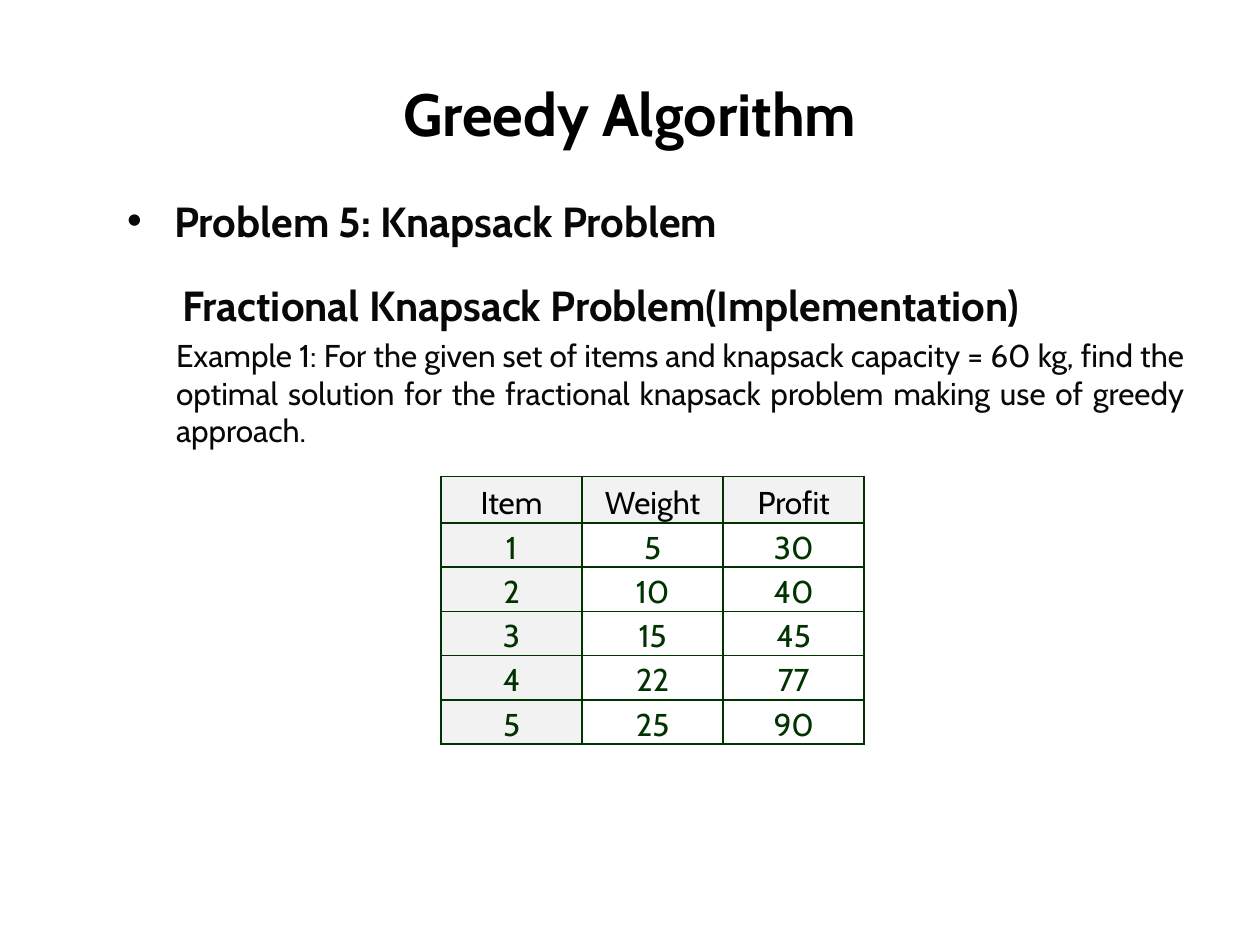
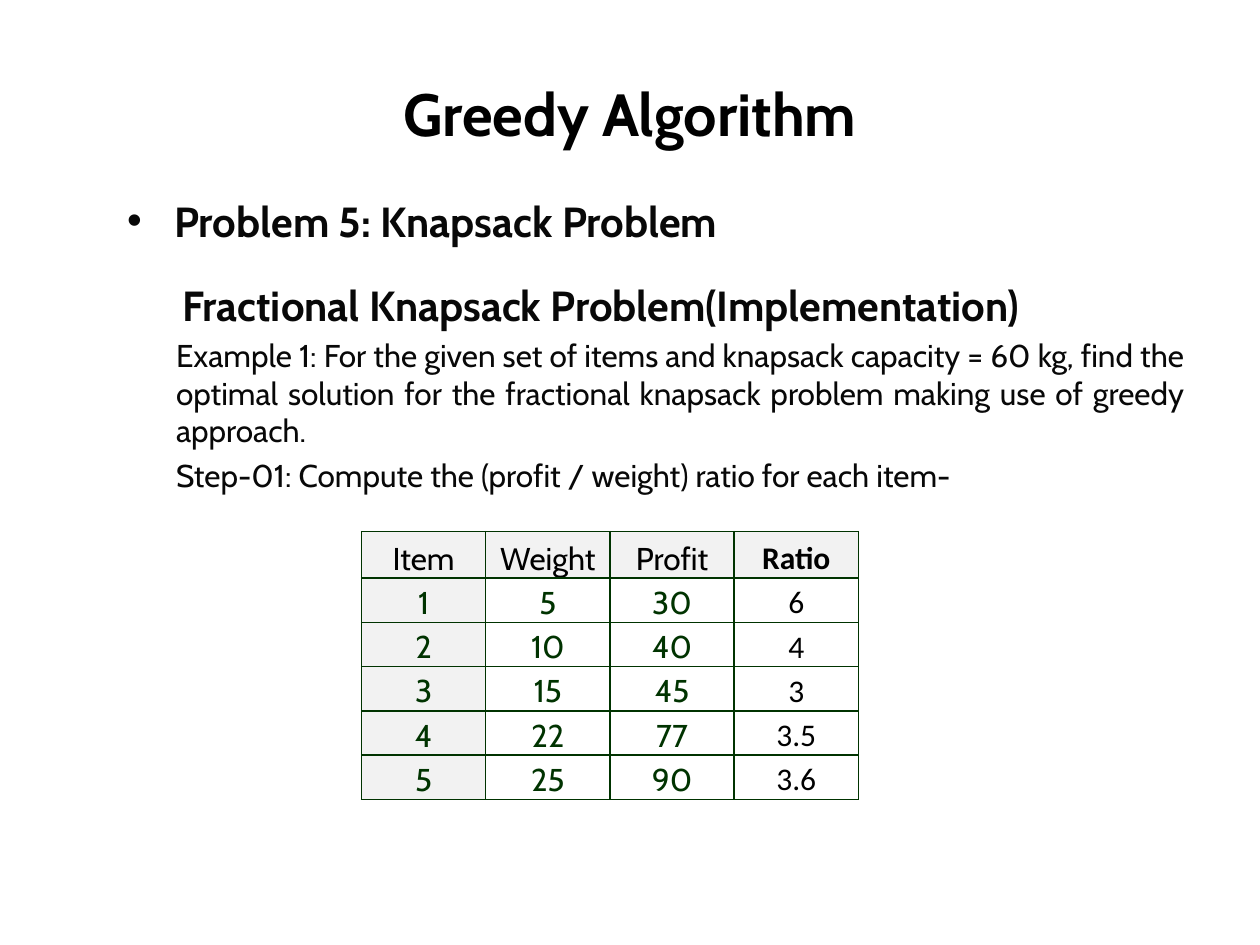
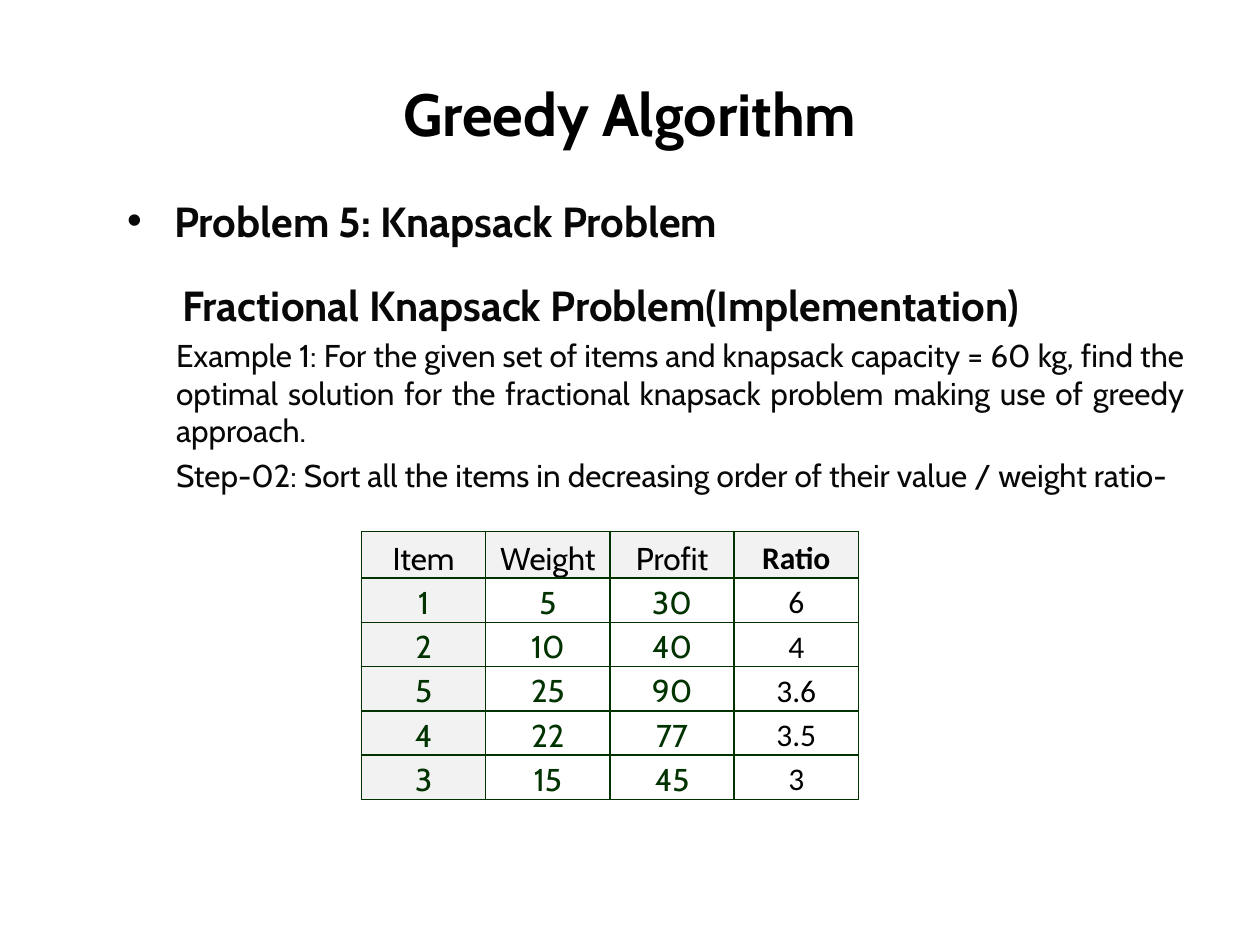
from lxml import etree
from pptx import Presentation
from pptx.dml.color import RGBColor
from pptx.enum import text
from pptx.oxml import ns
from pptx.util import Pt

# Content
TITLE = "Greedy Algorithm"
PROBLEM = "Problem 5: Knapsack Problem"
HEADING = "Fractional Knapsack Problem(Implementation)"
EXAMPLE = (
    "Example 1: For the given set of items and knapsack capacity = 60 kg, "
    "find the optimal solution for the fractional knapsack problem making "
    "use of greedy approach."
)
STEP_1 = "Step-01: Compute the (profit / weight) ratio for each item-"
STEP_2 = "Step-02: Sort all the items in decreasing order of their value / weight ratio-"

ITEMS = [(1, 5, 30), (2, 10, 40), (3, 15, 45), (4, 22, 77), (5, 25, 90)]
WITH_RATIO = [(*item, item[2] / item[1]) for item in ITEMS]
BY_RATIO = sorted(WITH_RATIO, key=lambda row: row[3], reverse=True)
HEADERS = ["Item", "Weight", "Profit", "Ratio"]

# Table places: left, top, column width
PLAIN_TABLE = (252, 272.2, 80.64)
RATIO_TABLE = (206.6, 303.8, 71)

SLIDES = [
    ([], ITEMS, PLAIN_TABLE),
    ([STEP_1], WITH_RATIO, RATIO_TABLE),
    ([STEP_2], BY_RATIO, RATIO_TABLE),
]

# Shared style
COLORS = {"title": "000000", "body": "080808", "header": "000000",
          "value": "003300", "ratio": "000000", "border": "003300", "shade": "F2F2F2"}
FONT, RATIO_FONT = "Cabin", "Calibri"
HEADER_HEIGHT, ROW_HEIGHT = 26.6, 25.3
RATIO_COLUMN = 3


def style_font(paragraph, size, color, bold=False, name=FONT):
    font = paragraph.font
    font.name, font.size, font.bold = name, Pt(size), bold
    font.color.rgb = RGBColor.from_string(COLORS[color])


def add_text_frame(slide, left, top, width, height):
    frame = slide.shapes.add_textbox(Pt(left), Pt(top), Pt(width), Pt(height)).text_frame
    frame.word_wrap = True
    return frame


def add_title(slide):
    frame = add_text_frame(slide, 36, 36, 648, 57)
    frame.vertical_anchor = text.MSO_ANCHOR.MIDDLE
    paragraph = frame.paragraphs[0]
    paragraph.text = TITLE
    paragraph.alignment = text.PP_ALIGN.CENTER
    style_font(paragraph, 34, "title", bold=True)


def add_bullet(properties):
    etree.SubElement(properties, ns.qn("a:buFont"), typeface="Arial")
    etree.SubElement(properties, ns.qn("a:buChar"), char="•")


def add_body(slide, steps):
    frame = add_text_frame(slide, 65.5, 108, 618.5, 377)
    # Wording, size, bold, left indent
    lines = [(PROBLEM, 24, True, 27), (HEADING, 24, True, 31.5)]
    lines += [(line, 18, False, 28) for line in [EXAMPLE, *steps]]
    for index, (wording, size, bold, indent) in enumerate(lines):
        paragraph = frame.add_paragraph() if index else frame.paragraphs[0]
        paragraph.text = wording
        paragraph.alignment = text.PP_ALIGN.JUSTIFY
        paragraph.space_before = Pt(size * 0.2)
        if wording == HEADING:
            paragraph.level = 1
            paragraph.line_spacing = 1.5
        properties = paragraph._p.get_or_add_pPr()
        properties.set("marL", str(Pt(indent)))
        properties.set("indent", str(Pt(-indent if wording == PROBLEM else 0)))
        if wording == PROBLEM:
            add_bullet(properties)
        style_font(paragraph, size, "body", bold)


def add_borders(cell):
    properties = cell._tc.get_or_add_tcPr()
    for side in ("lnL", "lnR", "lnT", "lnB"):
        line = etree.SubElement(properties, ns.qn(f"a:{side}"), w=str(Pt(1)))
        fill = etree.SubElement(line, ns.qn("a:solidFill"))
        etree.SubElement(fill, ns.qn("a:srgbClr"), val=COLORS["border"])


def fill_cell(cell, wording, is_header, column):
    cell.margin_left = cell.margin_right = cell.margin_top = Pt(0.72)
    cell.margin_bottom = Pt(0)
    cell.vertical_anchor = text.MSO_ANCHOR.BOTTOM
    add_borders(cell)
    if is_header or column == 0:
        cell.fill.solid()
        cell.fill.fore_color.rgb = RGBColor.from_string(COLORS["shade"])
    else:
        cell.fill.background()
    is_ratio = column == RATIO_COLUMN
    paragraph = cell.text_frame.paragraphs[0]
    paragraph.text = wording
    paragraph.alignment = text.PP_ALIGN.CENTER
    color = "header" if is_header else "ratio" if is_ratio else "value"
    style_font(paragraph, 18, color, is_header and is_ratio,
               RATIO_FONT if is_ratio else FONT)


def add_item_table(slide, items, place):
    left, top, column_width = place
    column_count = len(items[0])
    rows = [HEADERS[:column_count]]
    rows += [[f"{value:g}" for value in item] for item in items]
    height = HEADER_HEIGHT + ROW_HEIGHT * len(items)
    table = slide.shapes.add_table(
        len(rows), column_count, Pt(left), Pt(top),
        Pt(column_width * column_count), Pt(height)).table
    table.first_row = table.horz_banding = False
    for column in table.columns:
        column.width = Pt(column_width)
    for row_index, row in enumerate(rows):
        table.rows[row_index].height = Pt(ROW_HEIGHT if row_index else HEADER_HEIGHT)
        for column_index, wording in enumerate(row):
            fill_cell(table.cell(row_index, column_index), wording,
                      row_index == 0, column_index)


def main():
    presentation = Presentation()
    presentation.slide_width, presentation.slide_height = Pt(720), Pt(540)
    for steps, items, place in SLIDES:
        slide = presentation.slides.add_slide(presentation.slide_layouts[6])
        add_title(slide)
        add_body(slide, steps)
        add_item_table(slide, items, place)
    presentation.save("out.pptx")


if __name__ == "__main__":
    main()
